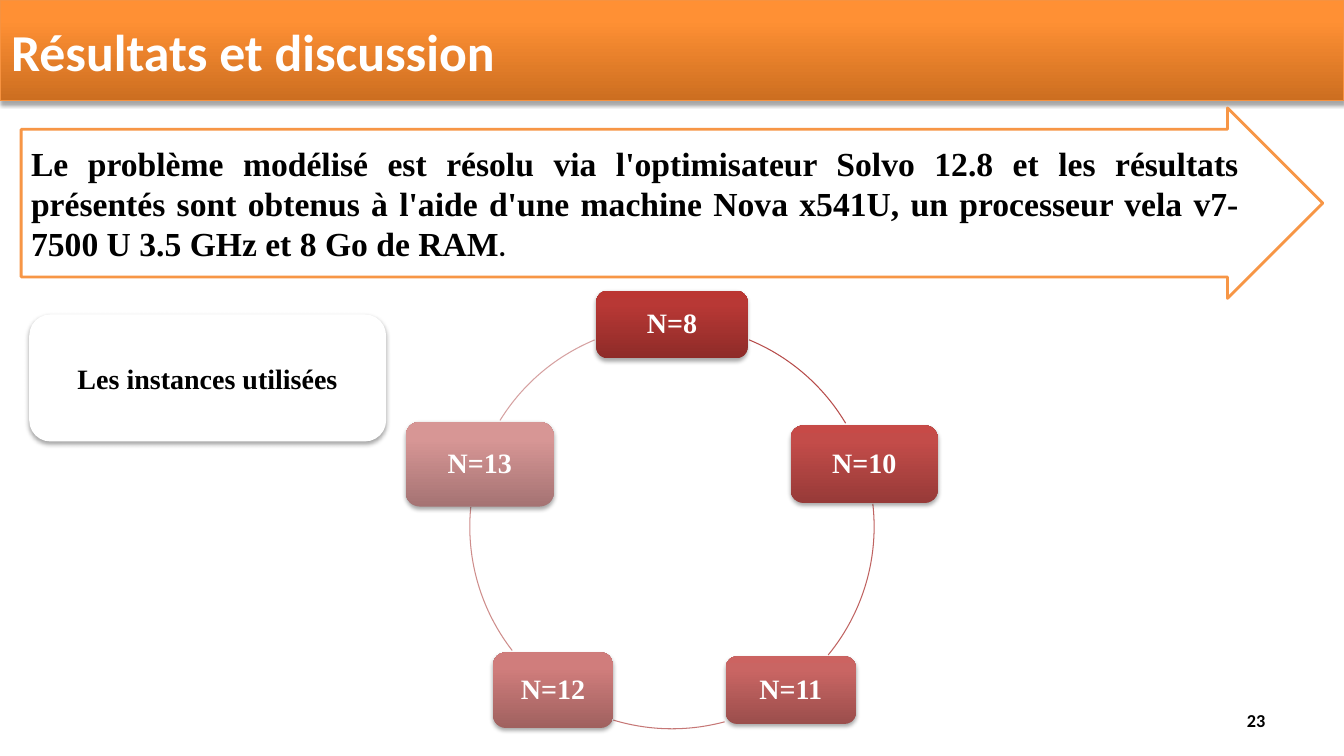
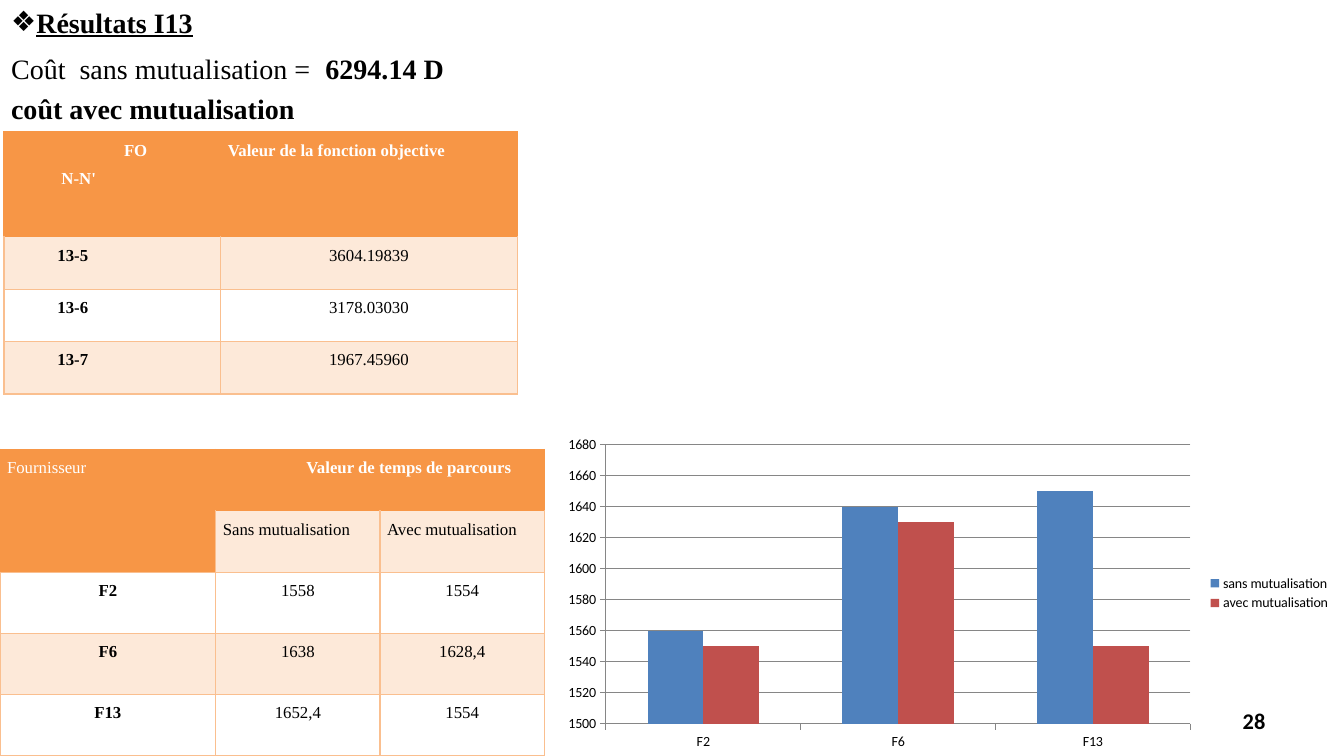
from dataclasses import dataclass
from math import cos, radians, sin

from lxml import etree
from pptx import Presentation
from pptx.chart.data import CategoryChartData
from pptx.dml.color import RGBColor
from pptx.enum.chart import XL_CHART_TYPE, XL_LEGEND_POSITION, XL_TICK_MARK
from pptx.enum.shapes import MSO_SHAPE
from pptx.enum.text import MSO_ANCHOR, MSO_AUTO_SIZE, PP_ALIGN
from pptx.oxml.ns import qn
from pptx.util import Inches, Pt

ROUND, ARC, ARROW = MSO_SHAPE.ROUNDED_RECTANGLE, MSO_SHAPE.ARC, MSO_SHAPE.RIGHT_ARROW
LEFT, MID, RIGHT, JUST = PP_ALIGN.LEFT, PP_ALIGN.CENTER, PP_ALIGN.RIGHT, PP_ALIGN.JUSTIFY
TOP, CENTER = MSO_ANCHOR.TOP, MSO_ANCHOR.MIDDLE
FIXED = MSO_AUTO_SIZE.NONE
COLUMN, SIDE, OUT = (XL_CHART_TYPE.COLUMN_CLUSTERED, XL_LEGEND_POSITION.RIGHT,
                     XL_TICK_MARK.OUTSIDE)
ONLY, BODY = 5, 1  # layouts: title only, title and content


@dataclass(frozen=True)
class Theme:
    serif: str = "Times New Roman"
    sans: str = "Calibri"
    black: str = "000000"
    white: str = "FFFFFF"
    orange: str = "F79646"
    edge: str = "FABF8F"
    tint: str = "FDE9D9"
    grid: str = "868686"
    rim: str = "F69240"
    band: tuple = ("CC6E20", "FF9034", "FF9136")
    bars: tuple = ("4F81BD", "C0504D")
    title: int = 37
    lead: int = 24
    text: int = 20
    cell: int = 12
    tick: int = 10


T = Theme()
WIDE, HIGH = 13.33, 7.5
PAD = (0.11, 0.06, 0.11, 0.06)

# label, width, height, gradient (bottom to top)
NODES = [
    ("N=8", 1.5, 0.67, ("8E2B28", "B83835", "BB3632")),
    ("N=10", 1.46, 0.77, ("973A38", "C34C49", "C74A47")),
    ("N=11", 1.29, 0.67, ("9B4E4C", "C96563", "CC6361")),
    ("N=12", 1.19, 0.75, ("A0615F", "D07D7C", "D27C7B")),
    ("N=13", 1.47, 0.84, ("A57373", "D79695", "D99594")),
]
# start and end angle, clockwise from the right
ARCS = [
    (292.4, 329.2, "B74C4A"),
    (353.5, 39.4, "BF6260"),
    (74.9, 106.9, "C67776"),
    (142.2, 185.6, "CE8D8B"),
    (211.7, 247.5, "D6A1A1"),
]
COSTS = [("13-5", "3604.19839"), ("13-6", "3178.03030"), ("13-7", "1967.45960")]
TIMES = [("F2", "1558", "1554"), ("F6", "1638", "1628,4"), ("F13", "1652,4", "1554")]


# Shared helpers
def rgb(code):
    return RGBColor.from_string(code)


def place(shape, box):
    shape.left, shape.top, shape.width, shape.height = map(Inches, box)


def frame(shape, pad, anchor=CENTER):
    body = shape.text_frame
    body.word_wrap, body.auto_size = True, FIXED
    body.vertical_anchor = anchor
    (body.margin_left, body.margin_top,
     body.margin_right, body.margin_bottom) = map(Inches, pad)
    return body


def add_run(para, text, size, color=T.black, font=T.serif, bold=False, under=False):
    run = para.add_run()
    run.text = text
    run.font.name, run.font.size = font, Pt(size)
    run.font.bold, run.font.underline = bold, under
    run.font.color.rgb = rgb(color)


def set_line(line, color, width=0.75):
    line.color.rgb = rgb(color)
    line.width = Pt(width)


def blend(shape, colors):
    shape.fill.gradient()
    shape.fill.gradient_angle = 90
    stops = shape._element.spPr.find(".//" + qn("a:gsLst"))
    for old in list(stops):
        stops.remove(old)
    for pos, color in zip((0, 80000, 100000), colors):
        stop = etree.SubElement(stops, qn("a:gs"), pos=str(pos))
        etree.SubElement(stop, qn("a:srgbClr"), val=color)


def shade(shape):
    shape.shadow.inherit = False
    effect = shape._element.spPr.find(qn("a:effectLst"))
    outer = etree.SubElement(effect, qn("a:outerShdw"), blurRad="40000",
                             dist="23000", dir="5400000", rotWithShape="0")
    color = etree.SubElement(outer, qn("a:srgbClr"), val=T.black)
    etree.SubElement(color, qn("a:alpha"), val="35000")


def indent(para, left, first=0.0, mark=None):
    props = para._p.get_or_add_pPr()
    props.set("marL", str(Inches(left)))
    props.set("indent", str(Inches(first)))
    if mark:
        etree.SubElement(props, qn("a:buChar"), char=mark)
    else:
        etree.SubElement(props, qn("a:buNone"))


def add_form(slide, kind, box):
    shape = slide.shapes.add_shape(kind, *map(Inches, box))
    shape.shadow.inherit = False
    return shape


def add_page(slide, number, size):
    box = slide.shapes.add_textbox(*map(Inches, (9.55, 6.95, 3.11, 0.4)))
    para = frame(box, PAD).paragraphs[0]
    para.alignment = RIGHT
    add_run(para, number, size, font=T.sans, bold=True)


# First slide: title band, arrow, label and ring
def add_title(slide, text, box):
    title = slide.shapes.title
    place(title, box)
    blend(title, T.band)
    set_line(title.line, T.rim)
    shade(title)
    para = frame(title, PAD).paragraphs[0]
    para.alignment = LEFT
    add_run(para, text, T.title, T.white, T.sans, True)


def add_arrow(slide, text, box):
    arrow = add_form(slide, ARROW, box)
    arrow.adjustments[0], arrow.adjustments[1] = 0.775, 0.5
    arrow.fill.solid()
    arrow.fill.fore_color.rgb = rgb(T.white)
    set_line(arrow.line, T.orange, 2)
    para = frame(arrow, (0.1, 0.05, 0.1, 0.05)).paragraphs[0]
    para.alignment = JUST
    add_run(para, text, T.lead, bold=True)
    add_run(para, ".", T.text, font=T.sans, bold=True)


def add_card(slide, text, box, color, fade=None):
    card = add_form(slide, ROUND, box)
    para = frame(card, (0.08, 0.08, 0.08, 0.08)).paragraphs[0]
    para.alignment = MID
    if fade:
        blend(card, fade)
        para.line_spacing = 0.9
    else:
        card.fill.solid()
        card.fill.fore_color.rgb = rgb(T.white)
    card.line.fill.background()
    shade(card)
    add_run(para, text, T.text, color, bold=True)


def add_ring(slide, box):
    left, top, size, _ = box
    radius = size / 2
    for start, end, color in ARCS:
        arc = add_form(slide, ARC, box)
        # arc adjustments count 0.6 per degree
        arc.adjustments[0], arc.adjustments[1] = start * 0.6, end * 0.6
        arc.fill.background()
        set_line(arc.line, color)
    for spot, (label, wide, high, fade) in enumerate(NODES):
        angle = radians(spot * 360 / len(NODES) - 90)
        mid = left + radius + radius * cos(angle)
        row = top + radius + radius * sin(angle)
        add_card(slide, label, (mid - wide / 2, row - high / 2, wide, high),
                 T.white, fade)


def build_setup(deck):
    slide = deck.slides.add_slide(deck.slide_layouts[ONLY])
    add_title(slide, "Résultats et discussion", (0, 0, WIDE, 1))
    add_arrow(slide, "Le problème modélisé est résolu via l'optimisateur Solvo 12.8 "
              "et les résultats présentés sont obtenus à l'aide d'une machine Nova "
              "x541U, un processeur vela v7-7500 U 3.5 GHz et 8 Go de RAM",
              (0.21, 1.07, 12.91, 1.89))
    add_card(slide, "Les instances utilisées", (0.29, 3.12, 3.54, 1.26), T.black)
    add_ring(slide, (4.66, 3.22, 4.01, 4.01))
    add_page(slide, "23", 13)


# Second slide: summary, tables and chart
def add_notes(slide, box):
    slide.shapes.title._element.getparent().remove(slide.shapes.title._element)
    shape = slide.placeholders[1]
    place(shape, box)
    body = frame(shape, (0.11, 0.05, 0.11, 0.06), TOP)
    head, cost, pool = body.paragraphs[0], body.add_paragraph(), body.add_paragraph()
    indent(head, 0.25, -0.25, "❖")
    indent(cost, 0)
    indent(pool, 0)
    for para, gap in ((head, 0), (cost, 5), (pool, 4)):
        para.space_before = Pt(gap)
    add_run(head, "Résultats I13", T.text, bold=True, under=True)
    add_run(cost, "Coût  sans mutualisation =", T.text)
    add_run(cost, " ", T.lead, bold=True)
    add_run(cost, " ", T.text, font=T.sans, bold=True)
    add_run(cost, "6294.14 D", T.text, bold=True)
    add_run(pool, "coût avec mutualisation", T.text, bold=True)


def fill_cell(cell, row, lines=(), head=False, align=LEFT, bold=False):
    """Each line is a text and its left indent."""
    cell.margin_left = cell.margin_right = Inches(0.07)
    cell.margin_top = cell.margin_bottom = 0
    cell.fill.solid()
    cell.fill.fore_color.rgb = rgb(T.orange if head else T.tint if row % 2 else T.white)
    props = cell._tc.get_or_add_tcPr()
    for spot, side in enumerate("LRTB"):
        warm = head or (side == "T" and row == 1)
        line = etree.Element(qn("a:ln" + side), w=str(Pt(1)))
        solid = etree.SubElement(line, qn("a:solidFill"))
        etree.SubElement(solid, qn("a:srgbClr"), val=T.orange if warm else T.edge)
        props.insert(spot, line)
    for spot, (text, left) in enumerate(lines):
        body = cell.text_frame
        para = body.add_paragraph() if spot else body.paragraphs[0]
        indent(para, left)
        para.alignment, para.line_spacing = align, 1.5
        add_run(para, text, T.cell, T.white if head else T.black, bold=bold)


def add_grid(slide, spot, cols, rows):
    box = (*spot, sum(cols), sum(rows))
    grid = slide.shapes.add_table(len(rows), len(cols), *map(Inches, box)).table
    grid.first_row = grid.horz_banding = False
    for col, wide in zip(grid.columns, cols):
        col.width = Inches(wide)
    for row, high in zip(grid.rows, rows):
        row.height = Inches(high)
    return grid


def fill_rows(grid, first, data, align, left):
    for row, (name, *values) in enumerate(data, first):
        fill_cell(grid.cell(row, 0), row, [(name, left)], align=align, bold=True)
        for col, value in enumerate(values, 1):
            fill_cell(grid.cell(row, col), row, [(value, 0)], align=MID)


def add_costs(slide, spot):
    grid = add_grid(slide, spot, (2.15, 2.94), (1.04, 0.52, 0.52, 0.52))
    fill_cell(grid.cell(0, 0), 0, [("FO", 1.12), ("N-N'", 0.5)], True, bold=True)
    fill_cell(grid.cell(0, 1), 0, [("Valeur de la fonction objective", 0)],
              True, bold=True)
    fill_rows(grid, 1, COSTS, LEFT, 0.46)


def add_times(slide, spot):
    grid = add_grid(slide, spot, (2.14, 1.63, 1.63), (3.04 / 5,) * 5)
    fill_cell(grid.cell(0, 0), 0, [("Fournisseur", 0)], True)
    fill_cell(grid.cell(0, 1), 0, [("Valeur de temps de parcours", 0.83)],
              True, bold=True)
    for row, col in ((0, 2), (1, 0)):
        fill_cell(grid.cell(row, col), row, head=True)
    for col, text in enumerate(("Sans mutualisation", "Avec mutualisation"), 1):
        fill_cell(grid.cell(1, col), 1, [(text, 0)])
    grid.cell(0, 0).merge(grid.cell(1, 0))
    grid.cell(0, 1).merge(grid.cell(0, 2))
    fill_rows(grid, 2, TIMES, MID, 0)


def add_bars(slide, box):
    data = CategoryChartData()
    data.categories = [row[0] for row in TIMES]
    for col, name in enumerate(("sans mutualisation ", "avec mutualisation "), 1):
        # bars are read to the nearest ten
        data.add_series(name, [round(float(row[col].replace(",", ".")), -1)
                               for row in TIMES])
    chart = slide.shapes.add_chart(COLUMN, *map(Inches, box), data).chart
    chart.has_title = False
    chart.font.name, chart.font.size = T.sans, Pt(T.tick)
    chart.font.color.rgb = rgb(T.black)
    chart.has_legend = True
    chart.legend.position, chart.legend.include_in_layout = SIDE, False
    plot = chart.plots[0]
    plot.gap_width, plot.overlap, plot.vary_by_categories = 150, 0, False
    for bar, color in zip(plot.series, T.bars):
        bar.format.fill.solid()
        bar.format.fill.fore_color.rgb = rgb(color)
    scale = chart.value_axis
    scale.minimum_scale, scale.maximum_scale, scale.major_unit = 1500, 1680, 20
    set_line(scale.major_gridlines.format.line, T.grid)
    for axis in (scale, chart.category_axis):
        axis.major_tick_mark = OUT
        set_line(axis.format.line, T.grid)


def build_results(deck):
    slide = deck.slides.add_slide(deck.slide_layouts[BODY])
    add_notes(slide, (0, 0, WIDE, 1.3))
    add_bars(slide, (5.48, 4.27, 7.85, 3.23))
    add_costs(slide, (0.04, 1.31))
    add_times(slide, (0, 4.46))
    add_page(slide, "28", 16)


def main():
    deck = Presentation()
    deck.slide_width, deck.slide_height = Inches(WIDE), Inches(HIGH)
    build_setup(deck)
    build_results(deck)
    deck.save("out.pptx")


if __name__ == "__main__":
    main()
